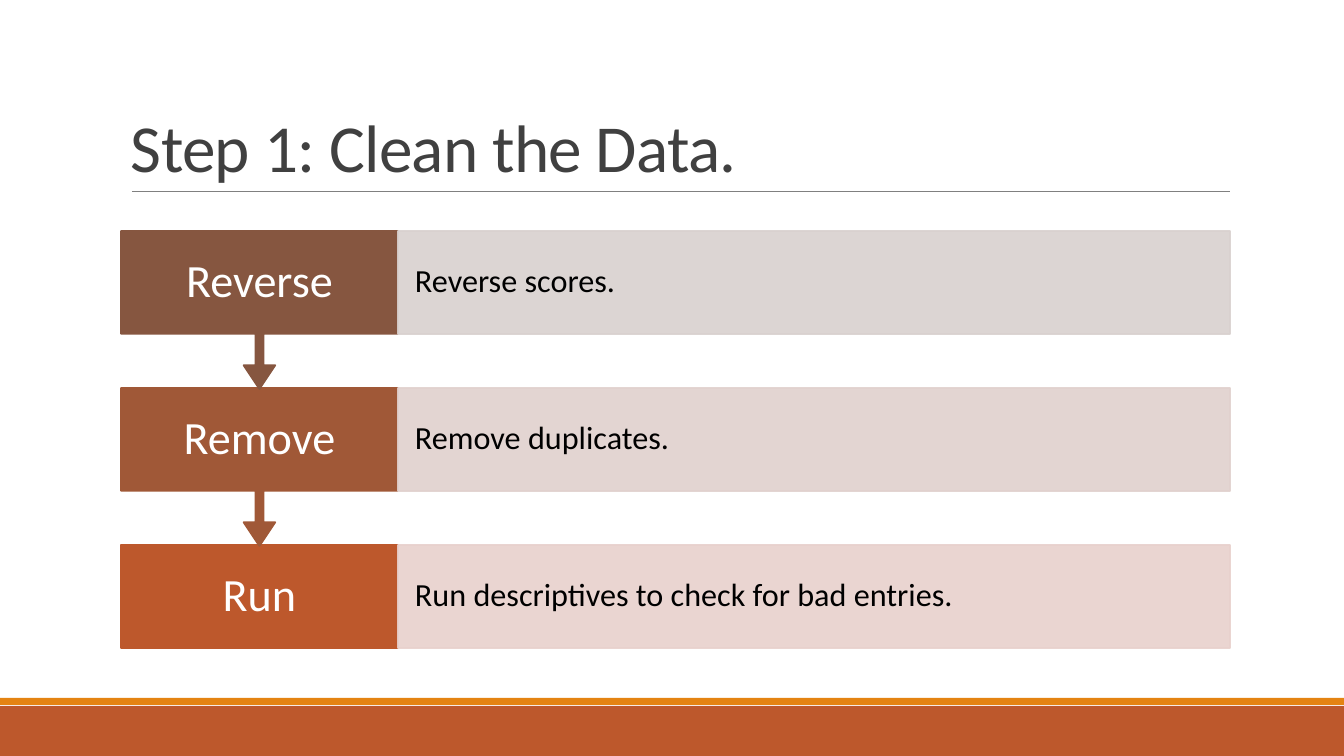
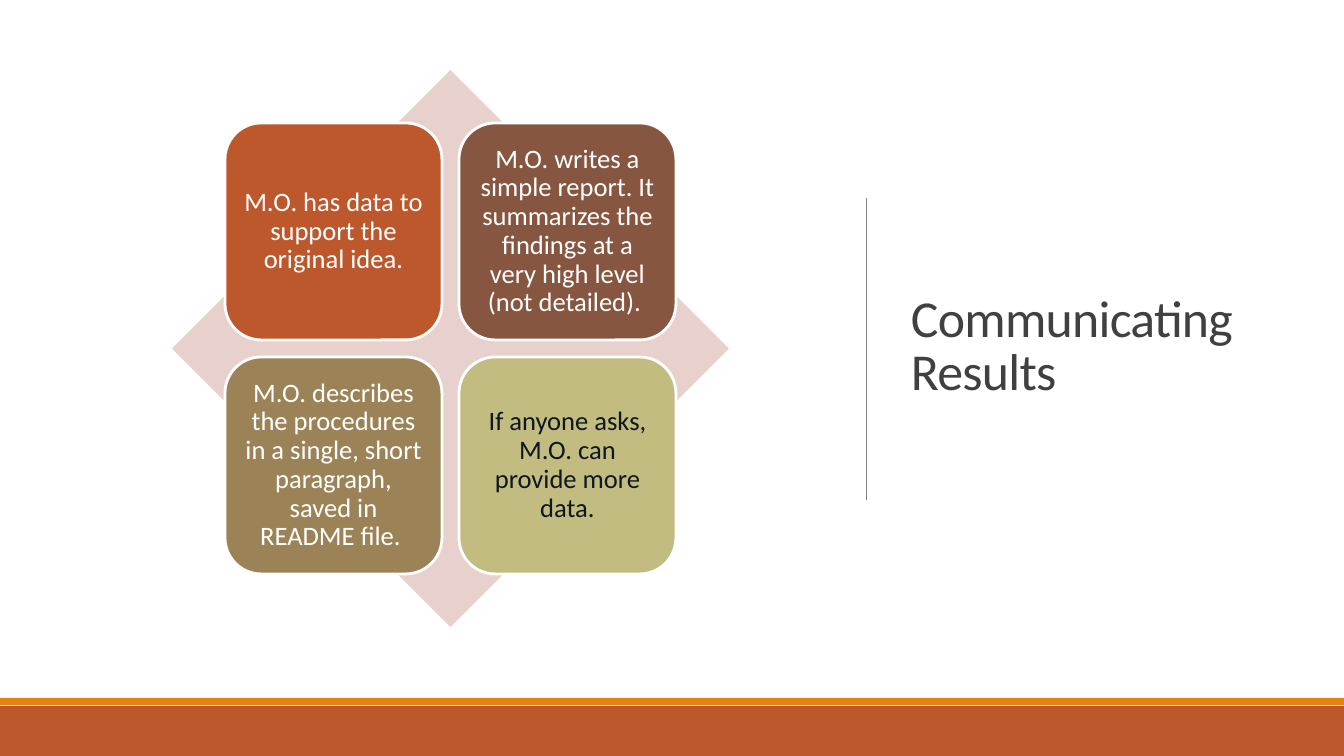
from dataclasses import dataclass
from typing import NamedTuple

from lxml import etree
from pptx import Presentation
from pptx import util as u
from pptx.dml.color import RGBColor
from pptx.enum import shapes, text
from pptx.oxml import ns

# Shared scale, colours and font
EMU_PER_PX = 914400 / 100.8
WIDTH, HEIGHT = 1344, 756
FONT = "Calibri"
WHITE, BLACK, INK, GREY = "FFFFFF", "000000", "404040", "808080"
RUST, ORANGE, BROWN = "BD582C", "E48312", "865640"
BLUSH = "E8D1CD"
SHAPE = shapes.MSO_SHAPE
ALIGN, ANCHOR = text.PP_ALIGN, text.MSO_ANCHOR


class Area(NamedTuple):
    left: int
    top: int
    width: int
    height: int


@dataclass(frozen=True)
class TextStyle:
    size: int
    color: str
    align: text.PP_ALIGN = ALIGN.LEFT
    anchor: text.MSO_ANCHOR = ANCHOR.MIDDLE
    line_spacing: float = 0.9
    tracking: int = 0
    inset_x: int = 10
    inset_y: int = 5


@dataclass(frozen=True)
class Step:
    label: str
    detail: str
    color: str
    tint: str


@dataclass(frozen=True)
class Tile:
    wording: str
    fill: str
    ink: str = WHITE


STEPS = [
    Step("Reverse", "Reverse scores.", BROWN, "D9D1CF"),
    Step("Remove", "Remove duplicates.", "A05837", "E1D1CE"),
    Step("Run", "Run descriptives to check for bad entries.", RUST, BLUSH),
]
TILES = [
    Tile("M.O. has data to support the original idea.", RUST),
    Tile("M.O. writes a simple report. It summarizes the findings at a very "
         "high level (not detailed). ", BROWN),
    Tile("M.O. describes the procedures in a single, short paragraph, "
         "saved in README file. ", "9B8357"),
    Tile("If anyone asks, M.O. can provide more data.", "C2BC80", "0D171F"),
]


def px(length: int) -> u.Emu:
    return u.Emu(round(length * EMU_PER_PX))


def rgb(color: str) -> RGBColor:
    return RGBColor.from_string(color)


def write(shape, wording: str, style: TextStyle) -> None:
    frame = shape.text_frame
    frame.word_wrap = True
    frame.vertical_anchor = style.anchor
    frame.margin_left = frame.margin_right = px(style.inset_x)
    frame.margin_top = frame.margin_bottom = px(style.inset_y)
    para = frame.paragraphs[0]
    para.alignment = style.align
    para.line_spacing = style.line_spacing
    span = para.add_run()
    span.text = wording
    span.font.name = FONT
    span.font.size = u.Pt(style.size)
    span.font.color.rgb = rgb(style.color)
    if style.tracking:
        span.font._element.set("spc", str(style.tracking))


def add_box(page, kind, area: Area, fill: str, line: str = "",
            line_width: float = 1.25, opacity: int = 100):
    box = page.shapes.add_shape(kind, *map(px, area))
    box.shadow.inherit = False
    box.fill.solid()
    box.fill.fore_color.rgb = rgb(fill)
    if line:
        box.line.color.rgb = rgb(line)
        box.line.width = u.Pt(line_width)
    else:
        box.line.fill.background()
    if opacity < 100:
        for color in box._element.spPr.iter(ns.qn("a:srgbClr")):
            etree.SubElement(color, ns.qn("a:alpha"), val=str(opacity * 1000))
    return box


def add_rule(page, x1: int, y1: int, x2: int, y2: int) -> None:
    rule = page.shapes.add_connector(
        shapes.MSO_CONNECTOR.STRAIGHT, px(x1), px(y1), px(x2), px(y2))
    rule.line.color.rgb = rgb(GREY)
    rule.line.width = u.Pt(0.5)
    etree.SubElement(rule._element.spPr, ns.qn("a:effectLst"))


def add_title(page, area: Area, wording: str, size: int,
              anchor: text.MSO_ANCHOR) -> None:
    box = page.shapes.add_textbox(*map(px, area))
    write(box, wording, TextStyle(size, INK, anchor=anchor,
                                  line_spacing=0.85, tracking=-50))


def add_page(deck):
    """Blank page with the two footer bands."""
    page = deck.slides.add_slide(deck.slide_layouts[6])
    add_box(page, SHAPE.RECTANGLE, Area(0, 706, WIDTH, 50), RUST)
    add_box(page, SHAPE.RECTANGLE, Area(0, 698, WIDTH, 7), ORANGE)
    return page


def build_steps(deck) -> None:
    page = add_page(deck)
    add_rule(page, 132, 191, 1230, 191)
    add_title(page, Area(121, 31, 1109, 160), "Step 1: Clean the Data.", 48,
              ANCHOR.BOTTOM)

    left, top, pitch, row_height = 121, 231, 157, 103
    label_width, detail_width = 277, 832
    label_style = TextStyle(33, WHITE, ALIGN.CENTER, inset_x=20, inset_y=26)
    detail_style = TextStyle(23, BLACK, inset_x=17, inset_y=32)

    # Bottom row first, so that each arrow tip lies over the row below
    for row, step in reversed(list(enumerate(STEPS))):
        y = top + row * pitch
        if row == len(STEPS) - 1:
            label = add_box(page, SHAPE.RECTANGLE,
                            Area(left, y, label_width, row_height),
                            step.color, step.color)
        else:
            label = add_box(page, SHAPE.DOWN_ARROW_CALLOUT,
                            Area(left, y, label_width, pitch + 1),
                            step.color, step.color)
            for index, value in enumerate((0.05, 0.1, 0.15, 0.65)):
                label.adjustments[index] = value
        write(label, step.label, label_style)
        detail = add_box(page, SHAPE.RECTANGLE,
                         Area(left + label_width, y, detail_width, row_height),
                         step.tint, step.tint, opacity=90)
        write(detail, step.detail, detail_style)


def build_results(deck) -> None:
    page = add_page(deck)
    add_title(page, Area(901, 70, 372, 557), "Communicating Results", 37,
              ANCHOR.MIDDLE)
    add_rule(page, 866, 198, 866, 500)

    # Two by two tiles over a diamond
    add_box(page, SHAPE.DIAMOND, Area(172, 70, 557, 557), BLUSH)
    left, top, side, pitch = 225, 123, 217, 234
    for index, tile in enumerate(TILES):
        row, column = divmod(index, 2)
        box = add_box(page, SHAPE.ROUNDED_RECTANGLE,
                      Area(left + column * pitch, top + row * pitch, side, side),
                      tile.fill, WHITE, 2)
        write(box, tile.wording,
              TextStyle(19, tile.ink, ALIGN.CENTER, inset_x=8, inset_y=8))


def main() -> None:
    deck = Presentation()
    deck.slide_width, deck.slide_height = px(WIDTH), px(HEIGHT)
    build_steps(deck)
    build_results(deck)
    deck.save("out.pptx")


if __name__ == "__main__":
    main()
